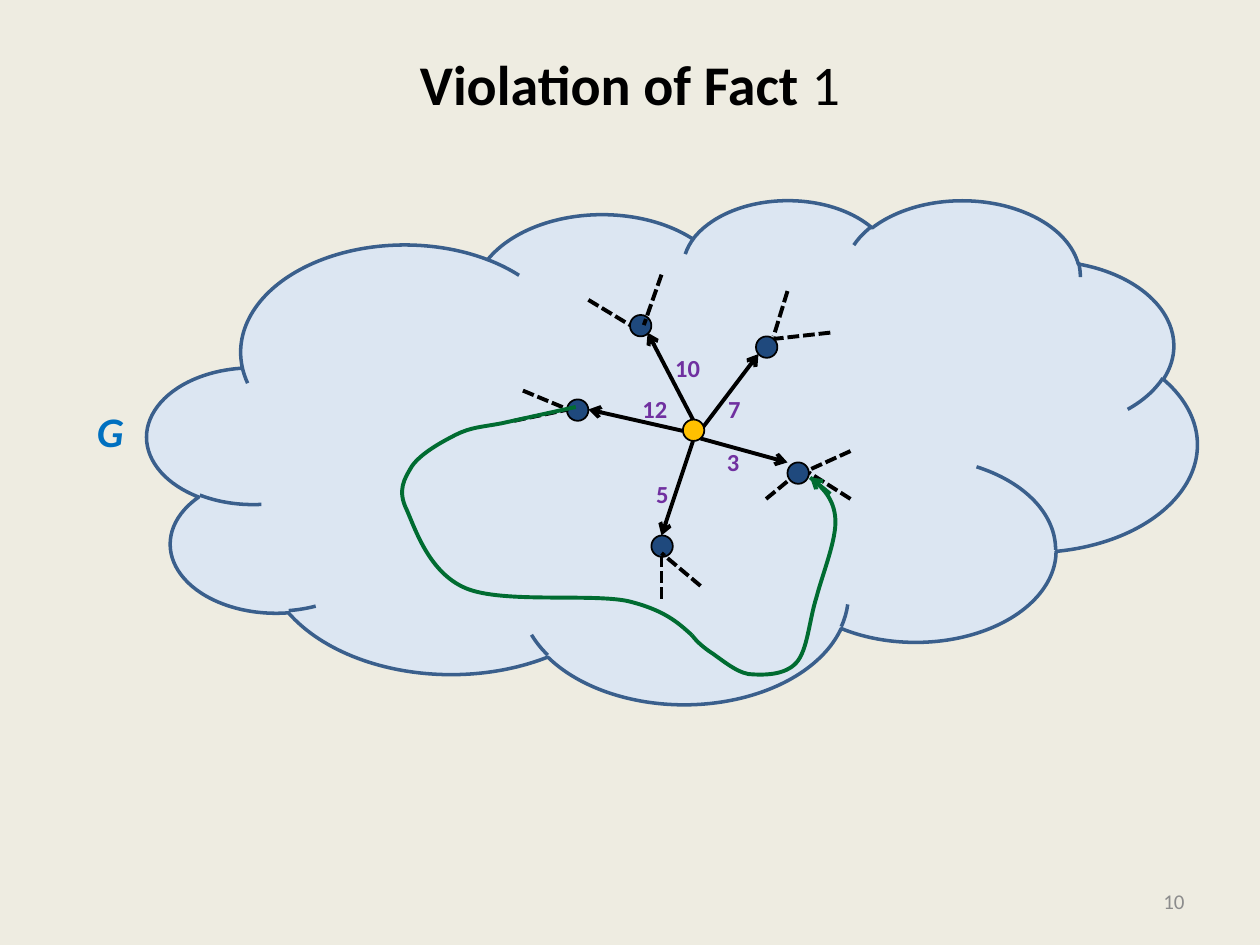
"""Build a slide showing a graph whose path violates Fact 1."""
import pptx
import pptx.dml.color
import pptx.enum.dml
import pptx.enum.shapes
import pptx.enum.text
import pptx.oxml.ns
import pptx.util
from lxml import etree

Inches = pptx.util.Inches
Pt = pptx.util.Pt
qn = pptx.oxml.ns.qn
ALIGN = pptx.enum.text.PP_ALIGN
ANCHOR = pptx.enum.text.MSO_ANCHOR
AUTO_SIZE = pptx.enum.text.MSO_AUTO_SIZE
SHAPE = pptx.enum.shapes.MSO_SHAPE

COLORS = {
    "background": "EEECE1", "text": "000000", "number": "8C8C8C",
    "cloud": "DCE6F2", "cloud_line": "3A5F8C", "edge": "000000",
    "center": "FFC000", "node": "1F497D", "weight": "7030A0",
    "graph": "0070C0", "path": "006C31",
}
NODE_SIZE = 0.17
CENTER = (5.42, 3.33)
NODES = [(6, 2.67), (6.25, 3.67), (5.17, 4.25), (4.5, 3.17), (5, 2.5)]
EDGES = [
    ((5.42, 3.42), (4.67, 3.25)),
    ((5.5, 3.5), (5.25, 4.25)),
    ((5.56, 3.48), (6.25, 3.67)),
    ((5.58, 3.39), (6.02, 2.81)),
    ((5.5, 3.33), (5.14, 2.64)),
]
STUBS = [
    ((6.59, 2.64), (6.14, 2.69)),
    ((6.25, 2.31), (6.14, 2.67)),
    ((6.75, 3.96), (6.42, 3.75)),
    ((6.75, 3.58), (6.42, 3.73)),
    ((5.25, 4.75), (5.25, 4.42)),
    ((5.56, 4.65), (5.25, 4.39)),
    ((4.08, 3.34), (4.51, 3.25)),
    ((4.15, 3.1), (4.51, 3.25)),
    ((4.67, 2.38), (5, 2.58)),
    ((5.25, 2.18), (5.11, 2.58)),
]
WEIGHTS = [
    ("3", 5.67, 3.5, 0.3), ("5", 5.11, 3.75, 0.3), ("12", 5, 3.08, 0.4),
    ("10", 5.26, 2.75, 0.4), ("7", 5.68, 3.08, 0.3),
]
WEST_PATH = [
    (4.57, 3.23), (3.98, 3.36),
    (3.82, 3.39), (3.74, 3.39), (3.62, 3.45),
    (3.5, 3.51), (3.34, 3.6), (3.27, 3.7),
    (3.21, 3.8), (3.15, 3.89), (3.23, 4.05),
    (3.3, 4.21), (3.41, 4.55), (3.7, 4.67),
    (3.99, 4.79), (4.68, 4.71), (4.98, 4.77),
    (5.27, 4.84), (5.38, 4.94), (5.49, 5.04),
]
EAST_PATH = [
    (5.49, 5.04), (5.52, 5.08), (5.56, 5.12), (5.63, 5.17),
    (5.71, 5.22), (5.83, 5.33), (5.94, 5.35),
    (6.06, 5.36), (6.23, 5.36), (6.32, 5.26),
    (6.41, 5.16), (6.42, 4.93), (6.48, 4.74),
    (6.53, 4.55), (6.64, 4.28), (6.63, 4.12),
    (6.62, 3.96), (6.53, 3.87), (6.43, 3.79),
]


class GraphSlide:
    """Hold the slide and draw its elements in one style."""

    font_name = "Calibri"

    def __init__(self, presentation):
        self.slide = presentation.slides.add_slide(presentation.slide_layouts[5])
        self.shapes = self.slide.shapes
        fill = self.slide.background.fill
        fill.solid()
        fill.fore_color.rgb = self.color("background")

    def color(self, name):
        return pptx.dml.color.RGBColor.from_string(COLORS[name])

    def style_font(self, font, size, color, bold=None, italic=None):
        font.name, font.size = self.font_name, Pt(size)
        font.bold, font.italic = bold, italic
        font.color.rgb = self.color(color)

    def style_line(self, line, color, width):
        line.color.rgb = self.color(color)
        line.width = Pt(width)

    def title(self, bold_text, plain_text):
        title = self.shapes.title
        title.left, title.top = Inches(0.5), Inches(0.3)
        title.width, title.height = Inches(9), Inches(1.25)
        frame = title.text_frame
        frame.vertical_anchor = ANCHOR.MIDDLE
        frame.margin_bottom = Inches(0.58)
        paragraph = frame.paragraphs[0]
        paragraph.alignment = ALIGN.CENTER
        self.style_font(paragraph.font, 32, "text")
        for text, bold in ((bold_text, True), (plain_text, False)):
            run = paragraph.add_run()
            run.text, run.font.bold = text, bold

    def text(self, text, left, top, width, height, size, color, bold=None, italic=None):
        box = self.shapes.add_textbox(*map(Inches, (left, top, width, height)))
        frame = box.text_frame
        frame.word_wrap = False
        frame.auto_size = AUTO_SIZE.SHAPE_TO_FIT_TEXT
        paragraph = frame.paragraphs[0]
        paragraph.text = text
        self.style_font(paragraph.font, size, color, bold, italic)
        return frame

    def slide_number(self, text):
        frame = self.text(text, 7.17, 6.95, 2.33, 0.4, 12, "number")
        frame.word_wrap = True
        frame.auto_size = AUTO_SIZE.NONE
        frame.vertical_anchor = ANCHOR.MIDDLE
        frame.paragraphs[0].alignment = ALIGN.RIGHT

    def shape(self, kind, left, top, width, height, fill, line, line_width):
        shape = self.shapes.add_shape(kind, *map(Inches, (left, top, width, height)))
        shape.shadow.inherit = False
        shape.fill.solid()
        shape.fill.fore_color.rgb = self.color(fill)
        self.style_line(shape.line, line, line_width)

    def node(self, position, fill):
        self.shape(SHAPE.OVAL, *position, NODE_SIZE, NODE_SIZE, fill, "edge", 1)

    def line(self, start, end, color="edge", arrow=False, dashed=False):
        connector = self.shapes.add_connector(
            pptx.enum.shapes.MSO_CONNECTOR.STRAIGHT, *map(Inches, (*start, *end)))
        self.style_line(connector.line, color, 2.25)
        if dashed:
            connector.line.dash_style = pptx.enum.dml.MSO_LINE.SQUARE_DOT
        if arrow:
            etree.SubElement(connector.get_or_add_ln(), qn("a:tailEnd"), type="arrow")
        etree.SubElement(connector._element.spPr, qn("a:effectLst"))

    def curve(self, controls, color):
        points = [tuple(map(Inches, point)) for point in controls]
        builder = self.shapes.build_freeform(*points[0])
        builder.add_line_segments(points[1:], close=False)
        shape = builder.convert_to_shape()
        segments = list(shape._element.iter(qn("a:lnTo")))
        for first in range(len(segments) % 3, len(segments), 3):
            bezier = etree.Element(qn("a:cubicBezTo"))
            segments[first].addprevious(bezier)
            for segment in segments[first:first + 3]:
                bezier.append(segment[0])
                segment.getparent().remove(segment)
        shape.shadow.inherit = False
        shape.fill.background()
        self.style_line(shape.line, color, 2.25)


def main():
    presentation = pptx.Presentation()
    presentation.slide_width, presentation.slide_height = Inches(10), Inches(7.5)
    graph = GraphSlide(presentation)
    graph.title("Violation of Fact ", "1")
    graph.slide_number("10")
    graph.shape(SHAPE.CLOUD, 1.17, 1.58, 8.33, 4, "cloud", "cloud_line", 2)
    for start, end in EDGES:
        graph.line(start, end, arrow=True)
    graph.node(CENTER, "center")
    for position in NODES:
        graph.node(position, "node")
    for start, end in STUBS:
        graph.line(start, end, dashed=True)
    for text, left, top, width in WEIGHTS:
        graph.text(text, left, top, width, 0.34, 14, "weight", bold=True)
    graph.text("G", 0.67, 3.17, 0.42, 0.5, 24, "graph", bold=True, italic=True)
    for controls in (WEST_PATH, EAST_PATH):
        graph.curve(controls, "path")
    graph.line((6.59, 3.92), (6.43, 3.79), "path", arrow=True)
    graph.line((6.08, 3.96), (6.25, 3.82), dashed=True)
    presentation.save("out.pptx")


if __name__ == "__main__":
    main()
